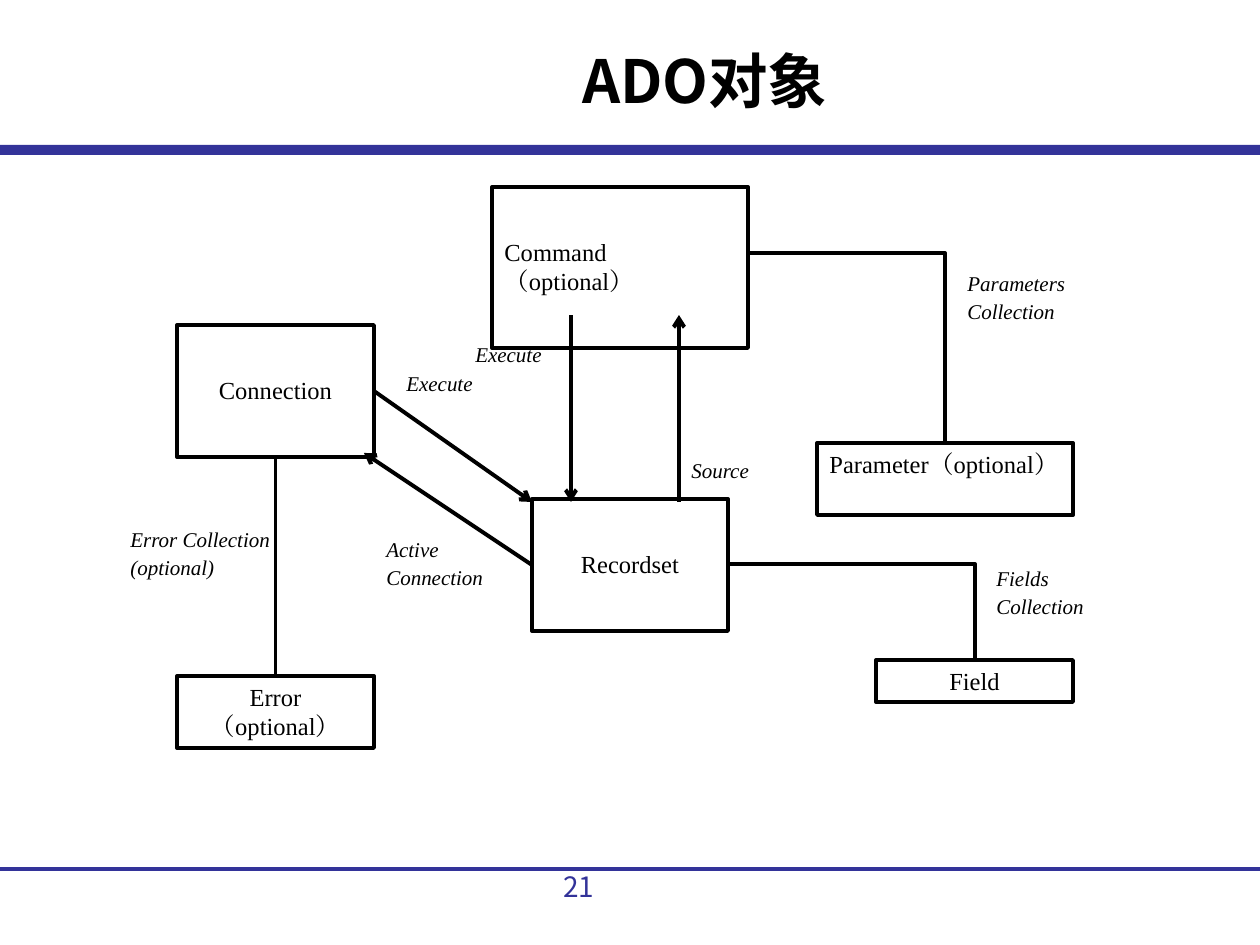
from lxml.etree import SubElement
from pptx import Presentation
from pptx.dml.color import RGBColor
from pptx.enum.shapes import MSO_CONNECTOR as CONN, MSO_SHAPE as SHAPE
from pptx.enum.text import MSO_ANCHOR as ANCHOR, PP_ALIGN as ALIGN
from pptx.oxml.ns import qn
from pptx.util import Emu, Pt

BLUE = RGBColor(0x33, 0x33, 0x99)
BLACK = RGBColor(0, 0, 0)
SANS, SERIF = "Noto Sans CJK SC", "Times New Roman"


def px(n):
    return Emu(round(n * 914400 / 126))


class Diagram:
    TITLE = dict(name=SANS, size=Pt(34), bold=True)
    NUMBER = dict(name=SANS, size=Pt(16))
    NODE = dict(name=SERIF, size=Pt(14))
    LABEL = dict(name=SERIF, size=Pt(12), italic=True)
    WIDTH = Pt(2.25)

    def __init__(self, slide):
        self.s = slide

    def fill_text(self, sp, lines, font, color=BLACK, para=None, frame=None):
        tf = sp.text_frame
        frame = dict(word_wrap=True, vertical_anchor=ANCHOR.TOP) | (frame or {})
        for key, value in frame.items():
            setattr(tf, key, value)
        for i, line in enumerate(lines):
            p = tf.add_paragraph() if i else tf.paragraphs[0]
            for key, value in (para or {}).items():
                setattr(p, key, value)
            r = p.add_run()
            r.text = line
            for key, value in font.items():
                setattr(r.font, key, value)
            r.font.color.rgb = color
            SubElement(r._r.get_or_add_rPr(), qn("a:ea"), typeface=font["name"])

    def text(self, box, lines, font, **style):
        sp = self.s.shapes.add_textbox(*map(px, box))
        self.fill_text(sp, lines, font, **style)

    def label(self, box, *lines, leading=Pt(8)):
        para = dict(space_before=Pt(7.5), line_spacing=leading)
        self.text(box, lines, self.LABEL, para=para, frame=dict(margin_right=0))

    def rect(self, box):
        sp = self.s.shapes.add_shape(SHAPE.RECTANGLE, *map(px, box))
        sp.shadow.inherit = False
        return sp

    def bar(self, box, color):
        sp = self.rect(box)
        sp.fill.solid()
        sp.fill.fore_color.rgb = color
        sp.line.fill.background()

    def node(self, box, text, align=ALIGN.CENTER, top=6):
        sp = self.rect(box)
        sp.fill.background()
        sp.line.color.rgb = BLACK
        sp.line.width = self.WIDTH
        self.fill_text(sp, [text], self.NODE, para=dict(alignment=align),
                       frame=dict(margin_top=px(top)))
        return sp

    def line(self, start, end, color=BLACK, arrow=False, kind=CONN.STRAIGHT,
             begin=None, finish=None):
        sp = self.s.shapes.add_connector(kind, *map(px, start + end))
        if begin:
            sp.begin_connect(*begin)
        if finish:
            sp.end_connect(*finish)
        sp.line.color.rgb = color
        sp.line.width = self.WIDTH
        if arrow:
            SubElement(sp.line._get_or_add_ln(), qn("a:tailEnd"), type="arrow")
        SubElement(sp._element.spPr, qn("a:effectLst"))
        return sp

    def elbow(self, start, end):
        sp = self.line(start, end, kind=CONN.ELBOW)
        sp._element.spPr.find(qn("a:prstGeom")).set("prst", "bentConnector2")


def main():
    prs = Presentation()
    prs.slide_width, prs.slide_height = px(1260), px(945)
    d = Diagram(prs.slides.add_slide(prs.slide_layouts[6]))

    d.bar((0, 145, 1260, 10), BLUE)
    d.line((0, 869), (1260, 869), BLUE)
    d.text((551, 863, 139, 66), ["21"], d.NUMBER, color=BLUE)
    d.text((233, 38, 964, 97), ["ADO对象"], d.TITLE,
           para=dict(alignment=ALIGN.CENTER), frame=dict(margin_right=px(33)))

    d.node((492, 187, 256, 161), "Command（optional）", ALIGN.LEFT, top=50)
    d.node((817, 443, 256, 72), "Parameter（optional）", ALIGN.LEFT)
    recordset = d.node((532, 499, 196, 132), "Recordset", top=50)
    d.node((876, 660, 197, 42), "Field")
    connection = d.node((177, 325, 197, 132), "Connection", top=50)
    error = d.node((177, 676, 197, 72), "Error（optional）")

    d.line((571, 315), (571, 502), arrow=True)
    d.line((679, 502), (679, 315), arrow=True)
    d.line((374, 391), (532, 502), arrow=True, begin=(connection, 3))
    d.line((532, 565), (364, 453), arrow=True, begin=(recordset, 1))
    d.line((276, 457), (276, 676), begin=(connection, 2), finish=(error, 0))
    d.elbow((728, 564), (975, 660))
    d.elbow((748, 253), (945, 443))

    d.label((955, 276, 124, 54), "Parameters", "Collection")
    d.label((463, 335, 91, 38), "Execute", leading=1.0)
    d.label((394, 364, 91, 38), "Execute", leading=1.0)
    d.label((374, 542, 152, 54), "Active", "Connection")
    d.label((118, 532, 178, 54), "Error Collection", "(optional)")
    d.label((679, 463, 108, 26), "Source")
    d.label((984, 571, 129, 54), "Fields", "Collection")

    prs.save("out.pptx")


if __name__ == "__main__":
    main()
